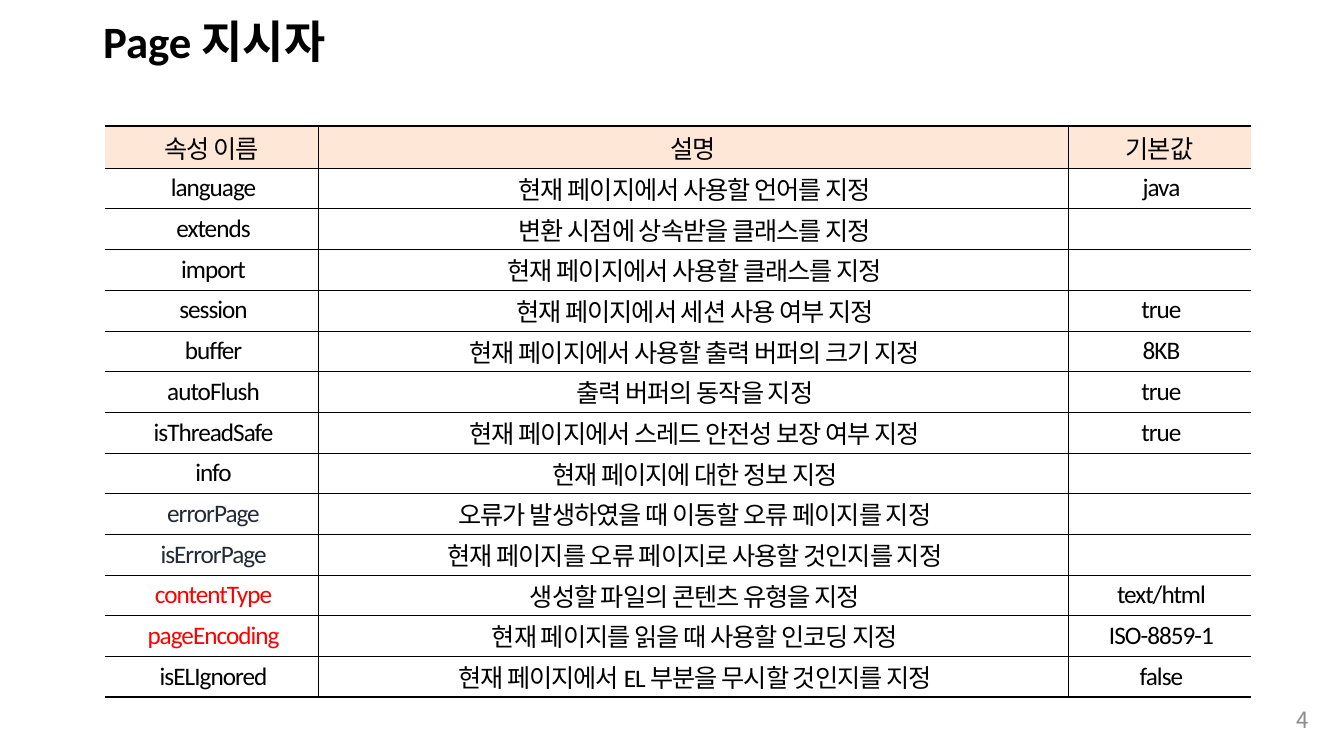
import dataclasses

import pptx
import pptx.dml.color
import pptx.enum.text
import pptx.oxml
import pptx.oxml.ns
import pptx.util
from lxml import etree

EMU_PER_PX = 914400 / 100.8
ALIGN = pptx.enum.text.PP_ALIGN
MIDDLE = pptx.enum.text.MSO_ANCHOR.MIDDLE


def px(length):
    return pptx.util.Emu(round(length * EMU_PER_PX))


@dataclasses.dataclass(frozen=True)
class Theme:
    latin: str = "Calibri"
    korean: str = "Noto Sans CJK KR"
    ink: str = "000000"
    slate: str = "222A35"
    alert: str = "FF0000"
    muted: str = "8C8C8C"
    header: str = "FFE7D8"
    title_size: int = 32
    cell_size: int = 18
    number_size: int = 16
    thin: float = 0.28
    thick: float = 1.7
    tracking: int = -70


class Deck:
    def __init__(self, theme):
        self.theme = theme
        self.presentation = pptx.Presentation()
        self.presentation.slide_width = px(1344)
        self.presentation.slide_height = px(756)
        self.slide = self.presentation.slides.add_slide(self.presentation.slide_layouts[5])

    def style(self, paragraph, size, color, align, latin=None, bold=False, tracking=0):
        paragraph.alignment = align
        font = paragraph.font
        font.size = pptx.util.Pt(size)
        font.bold = bold
        font.color.rgb = pptx.dml.color.RGBColor.from_string(color)
        font.name = latin or self.theme.latin
        defaults = paragraph._p.pPr.find(pptx.oxml.ns.qn("a:defRPr"))
        defaults.set("spc", str(tracking))
        etree.SubElement(defaults, pptx.oxml.ns.qn("a:ea"), typeface=self.theme.korean)

    def title(self, text, left, top, width, height):
        heading = self.slide.shapes.title
        heading.left, heading.top = px(left), px(top)
        heading.width, heading.height = px(width), px(height)
        frame = heading.text_frame
        frame.text = text
        frame.vertical_anchor = MIDDLE
        frame.paragraphs[0].line_spacing = 0.9
        self.style(frame.paragraphs[0], self.theme.title_size, self.theme.ink, ALIGN.LEFT, bold=True)

    def page_number(self, text, left, top, width, height):
        frame = self.slide.shapes.add_textbox(px(left), px(top), px(width), px(height)).text_frame
        frame.word_wrap = True
        frame.vertical_anchor = MIDDLE
        frame.text = text
        self.style(frame.paragraphs[0], self.theme.number_size, self.theme.muted,
                   ALIGN.RIGHT, latin=self.theme.korean)

    def border(self, cell, side, points):
        properties = cell._tc.get_or_add_tcPr()
        line = etree.SubElement(properties, pptx.oxml.ns.qn(f"a:ln{side}"))
        if points:
            line.set("w", str(pptx.util.Pt(points)))
            fill = etree.SubElement(line, pptx.oxml.ns.qn("a:solidFill"))
            etree.SubElement(fill, pptx.oxml.ns.qn("a:srgbClr"), val=self.theme.ink)
        else:
            etree.SubElement(line, pptx.oxml.ns.qn("a:noFill"))

    def cell(self, cell, text, color, borders, is_header):
        cell.text = text
        cell.vertical_anchor = MIDDLE
        cell.margin_left = cell.margin_right = cell.margin_top = cell.margin_bottom = px(2)
        paragraph = cell.text_frame.paragraphs[0]
        self.style(paragraph, self.theme.cell_size, color, ALIGN.CENTER, tracking=self.theme.tracking)
        if not is_header:
            paragraph._p.pPr.set("marL", str(px(4)))
            paragraph._p.pPr.set("indent", "0")
        for side, points in borders.items():
            self.border(cell, side, points)
        if is_header:
            cell.fill.solid()
            cell.fill.fore_color.rgb = pptx.dml.color.RGBColor.from_string(self.theme.header)
        else:
            cell.fill.background()

    def table(self, rows, name_colors, left, top, widths, header_height, body_height):
        last_row, last_column = len(rows) - 1, len(widths) - 1
        grid = self.slide.shapes.add_table(
            len(rows), len(widths), px(left), px(top),
            px(sum(widths)), px(header_height + body_height)).table
        grid.first_row = grid.horz_banding = False
        for column, width in zip(grid.columns, widths):
            column.width = px(width)
        thin, thick = self.theme.thin, self.theme.thick
        for r, row in enumerate(rows):
            grid.rows[r].height = px(body_height / last_row if r else header_height)
            for c, text in enumerate(row):
                borders = {
                    "L": thin if c else 0,
                    "R": thin if c < last_column else 0,
                    "T": thin if r else thick,
                    "B": thin if r < last_row else thick,
                }
                color = name_colors.get(text, self.theme.ink)
                self.cell(grid.cell(r, c), text, color, borders, r == 0)


def main():
    theme = Theme()
    deck = Deck(theme)
    attributes = [
        ("속성 이름", "설명", "기본값"),
        ("language", "현재 페이지에서 사용할 언어를 지정", "java"),
        ("extends", "변환 시점에 상속받을 클래스를 지정", ""),
        ("import", "현재 페이지에서 사용할 클래스를 지정", ""),
        ("session", "현재 페이지에서 세션 사용 여부 지정", "true"),
        ("buffer", "현재 페이지에서 사용할 출력 버퍼의 크기 지정", "8KB"),
        ("autoFlush", "출력 버퍼의 동작을 지정", "true"),
        ("isThreadSafe", "현재 페이지에서 스레드 안전성 보장 여부 지정", "true"),
        ("info", "현재 페이지에 대한 정보 지정", ""),
        ("errorPage", "오류가 발생하였을 때 이동할 오류 페이지를 지정", ""),
        ("isErrorPage", "현재 페이지를 오류 페이지로 사용할 것인지를 지정", ""),
        ("contentType", "생성할 파일의 콘텐츠 유형을 지정", "text/html"),
        ("pageEncoding", "현재 페이지를 읽을 때 사용할 인코딩 지정", "ISO-8859-1"),
        ("isELIgnored", "현재 페이지에서 EL 부분을 무시할 것인지를 지정", "false"),
    ]
    name_colors = {
        "errorPage": theme.slate,
        "isErrorPage": theme.slate,
        "contentType": theme.alert,
        "pageEncoding": theme.alert,
    }
    deck.title("Page 지시자", 93, 6, 1159, 76)
    deck.table(attributes, name_colors, 105, 126, (213, 750, 183), 42, 529)
    deck.page_number("4", 1262, 700, 57, 40)
    deck.presentation.save("out.pptx")


if __name__ == "__main__":
    main()
